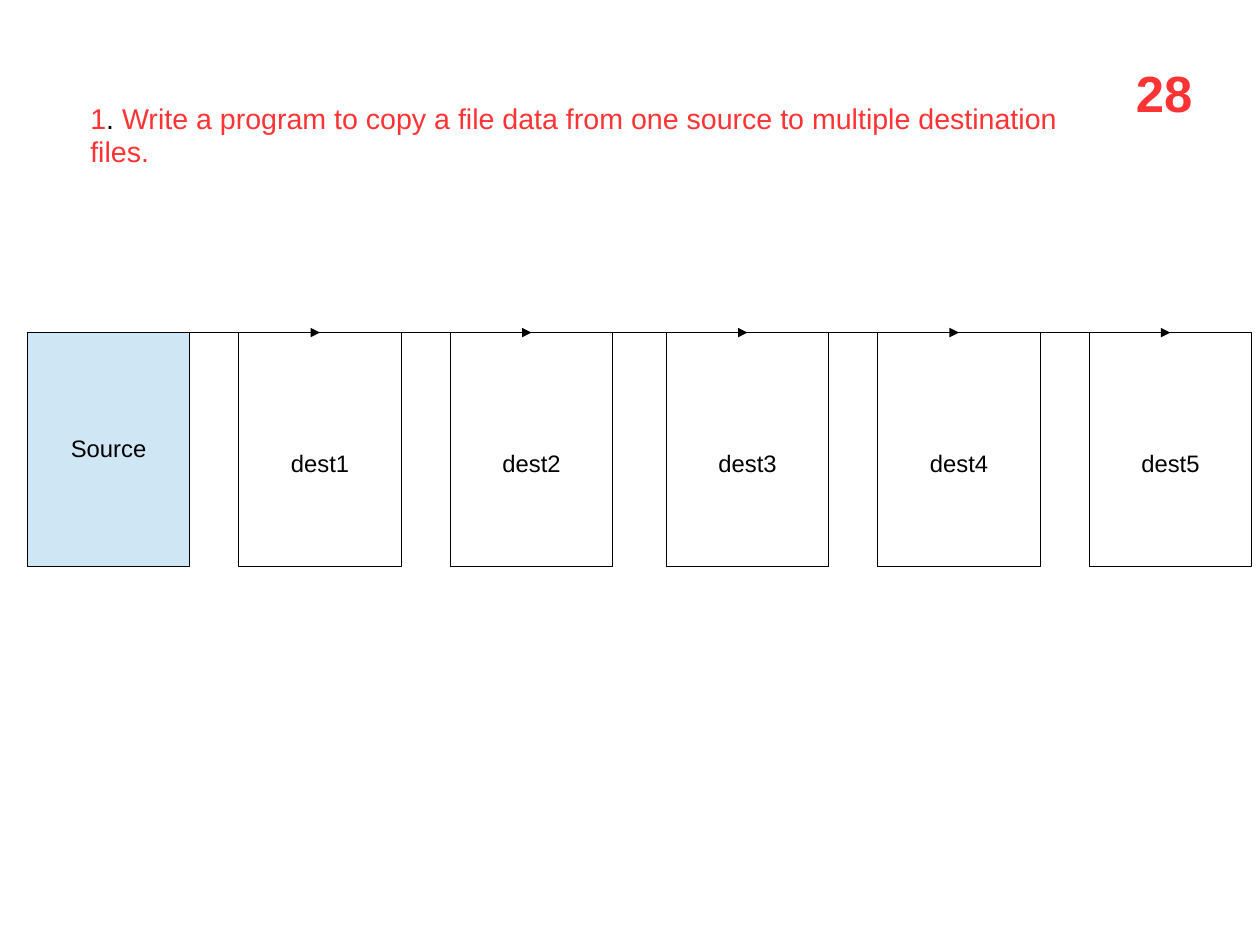
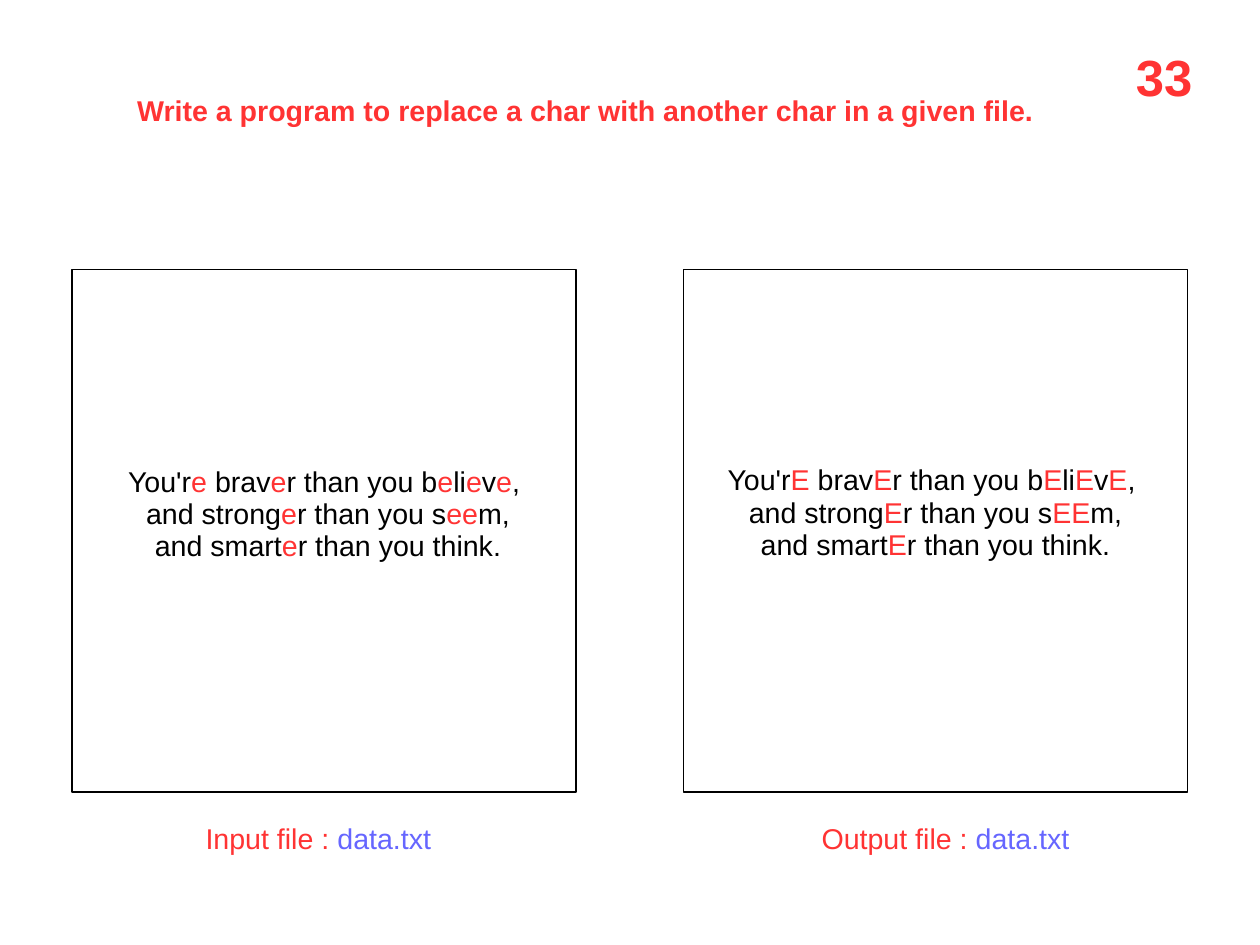
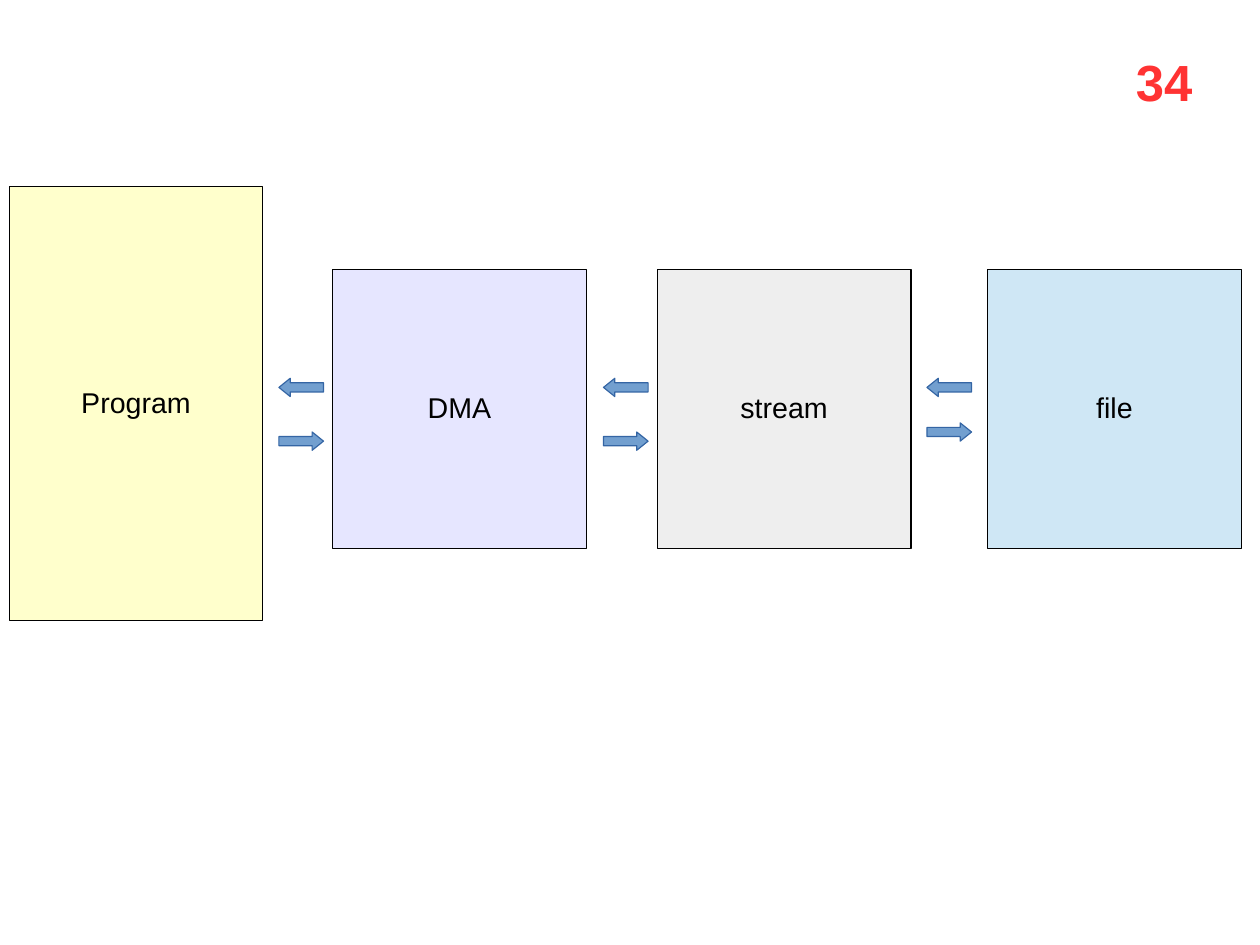
from itertools import groupby

from lxml import etree
from pptx import Presentation
from pptx.dml.color import RGBColor
from pptx.enum.shapes import MSO_CONNECTOR, MSO_SHAPE
from pptx.enum.text import MSO_ANCHOR, MSO_AUTO_SIZE, PP_ALIGN
from pptx.oxml.ns import qn
from pptx.util import Cm, Inches, Pt

RECT, LEFT_ARROW, RIGHT_ARROW = MSO_SHAPE.RECTANGLE, MSO_SHAPE.LEFT_ARROW, MSO_SHAPE.RIGHT_ARROW
STRAIGHT = MSO_CONNECTOR.STRAIGHT
TOP, MIDDLE = MSO_ANCHOR.TOP, MSO_ANCHOR.MIDDLE
LEFT, CENTER = PP_ALIGN.LEFT, PP_ALIGN.CENTER
NO_AUTOFIT = MSO_AUTO_SIZE.NONE

FONT = "Arial"
LINE_WIDTH = Pt(0.75)
TITLE_ONLY, BLANK = 5, 6
COLORS = {
    "black": "000000", "white": "FFFFFF", "red": "FF3333", "violet": "6666FF",
    "sky": "CFE7F5", "cream": "FFFFCC", "grey": "EEEEEE", "lavender": "E6E6FF",
    "arrow": "729FCF", "arrow_line": "3465A4",
}


def rgb(name):
    return RGBColor.from_string(COLORS[name])


def write(tf, paragraphs, size, bold=False, align=LEFT, anchor=TOP, wrap=False):
    """Fill a text frame; each paragraph is a list of (text, colour name)."""
    frame_format = {
        "word_wrap": wrap, "auto_size": NO_AUTOFIT, "vertical_anchor": anchor,
        "margin_left": Inches(0.1), "margin_right": Inches(0.1),
        "margin_top": Inches(0.05), "margin_bottom": Inches(0.05),
    }
    for name, value in frame_format.items():
        setattr(tf, name, value)
    for i, runs in enumerate(paragraphs):
        p = tf.add_paragraph() if i else tf.paragraphs[0]
        p.alignment, p.line_spacing = align, 0.94
        p.space_before = p.space_after = Pt(0)
        for text, color in runs:
            r = p.add_run()
            r.text = text
            for name, value in {"name": FONT, "size": Pt(size), "bold": bold}.items():
                setattr(r.font, name, value)
            r.font.color.rgb = rgb(color)


def add_title(s, runs, left, top, width, **text_format):
    title = s.shapes.title
    title.left, title.top = Inches(left), Inches(top)
    title.width, title.height = Inches(width), Inches(0.4)
    write(title.text_frame, [runs], 18, **text_format)


def add_text(s, paragraphs, left, top, width, height, size=18, **text_format):
    box = s.shapes.add_textbox(Inches(left), Inches(top), Inches(width), Inches(height))
    write(box.text_frame, paragraphs, size, **text_format)


def add_number(s, number, top):
    add_text(s, [[(number, "red")]], 9.84, top, 0.69, 0.63, size=32, bold=True)


def add_shape(s, kind, left, top, width, height, fill, line="black"):
    shape = s.shapes.add_shape(kind, Inches(left), Inches(top), Inches(width), Inches(height))
    shape.shadow.inherit = False
    shape.fill.solid()
    shape.fill.fore_color.rgb = rgb(fill)
    shape.line.color.rgb = rgb(line)
    shape.line.width = LINE_WIDTH
    return shape


def add_box(s, paragraphs, left, top, width, height, fill="white", size=18):
    box = add_shape(s, RECT, left, top, width, height, fill)
    write(box.text_frame, paragraphs, size, align=CENTER, anchor=MIDDLE)
    return box


def add_block_arrow(s, kind, left, top):
    arrow = add_shape(s, kind, left, top, 0.39, 0.16, "arrow", "arrow_line")
    arrow.adjustments[1] = 0.62


def connect_tops(s, start, end):
    line = s.shapes.add_connector(STRAIGHT, 0, 0, 0, 0)
    line.begin_connect(start, 0)
    line.end_connect(end, 0)
    line.line.color.rgb = rgb("black")
    line.line.width = LINE_WIDTH
    etree.SubElement(line.get_or_add_ln(), qn("a:tailEnd"), type="triangle")
    etree.SubElement(line._element.spPr, qn("a:effectLst"))


def highlight(text, letter):
    """Split text into runs, with every occurrence of letter in red."""
    return [("".join(chars), "red" if hit else "black")
            for hit, chars in groupby(text, lambda char: char == letter)]


def build_copy_slide(prs):
    s = prs.slides.add_slide(prs.slide_layouts[TITLE_ONLY])
    task = "Write a program to copy a file data from one source to multiple destination files."
    add_title(s, [("1", "red"), (". ", "black"), (task, "red")], 0.69, 0.86, 9.23, wrap=True)
    top, width, height = 2.91, 1.42, 2.05
    files = [add_box(s, [[("Source", "black")]], 0.24, top, width, height, "sky", 15)]
    for i, left in enumerate((2.09, 3.94, 5.83, 7.68, 9.53), 1):
        dest = add_box(s, [[(f"dest{i}", "black")]], left, top, width, height, size=15)
        dest.text_frame.margin_top = Inches(0.3)
        files.append(dest)
    for start, end in zip(files, files[1:]):
        connect_tops(s, start, end)
    add_number(s, "28", 0.53)


def build_replace_slide(prs):
    s = prs.slides.add_slide(prs.slide_layouts[TITLE_ONLY])
    task = "Write a program to replace a char with another char in a given file."
    add_title(s, [(task, "red")], 1.1, 0.79, 8.05, bold=True)
    lines = ["You're braver than you believe,",
             " and stronger than you seem,",
             " and smarter than you think."]
    before = [highlight(line, "e") for line in lines]
    after = [highlight(line.replace("e", "E"), "E") for line in lines]

    top, width, height = 2.36, 4.41, 4.57
    source = add_box(s, before, 0.63, top, width, height)
    source.text_frame.margin_bottom = Inches(0.33)
    add_shape(s, RECT, 5.98, top, width, height, "white")
    add_text(s, after, 6.22, 4.02, 3.86, 0.96, align=CENTER)
    for label, left, label_width in (("Input file : ", 1.7, 2.24), ("Output file : ", 7.09, 2.44)):
        add_text(s, [[(label, "red"), ("data.txt", "violet")]], left, 7.16, label_width, 0.4)
    add_number(s, "33", 0.39)


def build_stream_slide(prs):
    s = prs.slides.add_slide(prs.slide_layouts[BLANK])
    for name, left, top, height, fill in (
        ("Program", 0.08, 1.63, 3.8, "cream"),
        ("DMA", 2.91, 2.36, 2.44, "lavender"),
        ("stream", 5.75, 2.36, 2.44, "grey"),
        ("file", 8.64, 2.36, 2.44, "sky"),
    ):
        add_box(s, [[(name, "black")]], left, top, 2.22, height, fill)
    for left, right_arrow_top in ((2.44, 3.78), (5.28, 3.78), (8.11, 3.7)):
        add_block_arrow(s, LEFT_ARROW, left, 3.31)
        add_block_arrow(s, RIGHT_ARROW, left, right_arrow_top)
    add_number(s, "34", 0.44)


def main():
    prs = Presentation()
    prs.slide_width, prs.slide_height = Cm(28), Cm(21)
    build_copy_slide(prs)
    build_replace_slide(prs)
    build_stream_slide(prs)
    prs.save("out.pptx")


if __name__ == "__main__":
    main()
